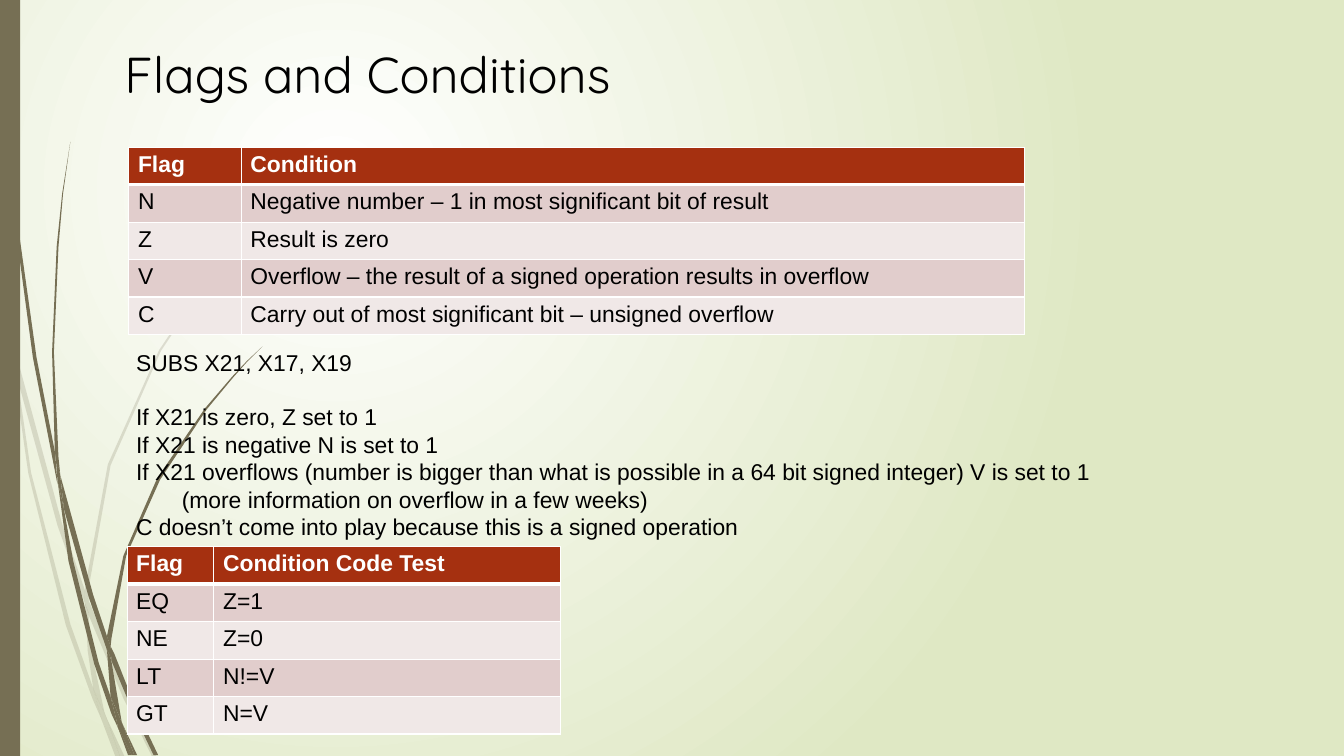
import pptx
import pptx.dml.color
import pptx.enum.shapes
import pptx.enum.text
import pptx.oxml
import pptx.oxml.ns
import pptx.util

Inches = pptx.util.Inches
Pt = pptx.util.Pt
RGB = pptx.dml.color.RGBColor
qn = pptx.oxml.ns.qn

WIDTH, HEIGHT = 14.7, 8.27
BLACK = RGB(0x00, 0x00, 0x00)
WHITE = RGB(0xFF, 0xFF, 0xFF)
PALE_GREEN = RGB(0xDF, 0xE8, 0xC4)
OLIVE = RGB(0x76, 0x6F, 0x54)
RUST = RGB(0xA5, 0x30, 0x10)
ROSE = RGB(0xE1, 0xCD, 0xCC)
BLUSH = RGB(0xF0, 0xE8, 0xE7)

TITLE = "Flags and Conditions"
TABLES = [
    {"left": 1.41, "top": 1.61, "columns": (1.23, 8.57), "rows": [
        ("Flag", "Condition"),
        ("N", "Negative number – 1 in most significant bit of result"),
        ("Z", "Result is zero"),
        ("V", "Overflow – the result of a signed operation results in overflow"),
        ("C", "Carry out of most significant bit – unsigned overflow"),
    ]},
    {"left": 1.39, "top": 5.98, "columns": (0.95, 3.79), "rows": [
        ("Flag", "Condition Code Test"),
        ("EQ", "Z=1"),
        ("NE", "Z=0"),
        ("LT", "N!=V"),
        ("GT", "N=V"),
    ]},
]
ROW_HEIGHT = 0.41
LINE_PITCH = 21.6
EXAMPLE = [
    ("SUBS X21, X17, X19", 0, 0),
    ("If X21 is zero, Z set to 1", LINE_PITCH, 0),
    ("If X21 is negative N is set to 1", 0, 0),
    ("If X21 overflows (number is bigger than what is possible in a 64 bit "
     "signed integer) V is set to 1", 0, 0),
    ("(more information on overflow in a few weeks)", 0, 0.5),
    ("C doesn’t come into play because this is a signed operation", 0, 0),
]
PALE_BLADES = [
    [(0.12, 3.86), (0.09, 3.55), (0, 3.1), (0, 3.3), (0.11, 3.79)],
    [(0.63, 5.75), (0.93, 6.6), (0.93, 6.46), (0.68, 5.73), (0.16, 3.81), (0.19, 4.14)],
    [(1.02, 6.69), (0.97, 6.57), (0.97, 6.73), (1.35, 7.64), (1.66, HEIGHT), (1.71, HEIGHT),
     (1.4, 7.62)],
    [(1.31, HEIGHT), (1.36, HEIGHT), (1.16, 7.84)],
    [(1.02, 7.53), (0.77, 6.83), (0.34, 5.17), (0.19, 4.14), (0.12, 3.86), (0.31, 5.18),
     (0.72, 6.84), (1.01, 7.64), (1.11, 7.87), (1.09, 7.79)],
    [(0.93, 6.6), (0.96, 7.12), (1.02, 7.53), (1.06, 7.63), (1.16, 7.84), (1.14, 7.78),
     (1, 7.12), (0.97, 6.73), (0.97, 6.7)],
    [(0.97, 6.43), (1.21, 5.09), (1.76, 3.84), (2.52, 2.7), (2.96, 2.18), (3.19, 1.93),
     (3.44, 1.69), (3.19, 1.93), (2.95, 2.18), (2.51, 2.69), (1.74, 3.83), (1.18, 5.08),
     (0.93, 6.43), (0.93, 6.46), (0.97, 6.57)],
    [(1.11, 7.87), (1.26, HEIGHT), (1.31, HEIGHT)],
    [(0.97, 6.71), (0.97, 6.73), (0.97, 6.57), (0.93, 6.46), (0.93, 6.61)],
    [(1.06, 7.63), (1.02, 7.53), (1.09, 7.79), (1.11, 7.87), (1.31, HEIGHT), (1.16, 7.84)],
]
DARK_BLADES = [
    [(0.07, 1.21), (0.18, 2.57), (0.36, 3.91), (0.62, 5.25), (0.63, 5.3), (0.61, 5.04),
     (0.61, 4.99), (0.4, 3.91), (0.21, 2.56), (0.08, 1.2), (0.05, 0.53), (0.04, 0),
     (0.03, 0), (0.04, 0.53)],
    [(0.97, 6.53), (1.17, 7.11), (1.17, 6.98), (1.17, 6.96), (1.02, 6.51), (0.66, 5.2),
     (0.7, 5.57)],
    [(1.25, 7.15), (1.21, 7.07), (1.22, 7.23), (1.46, 7.8), (1.68, 8.26), (1.73, 8.26),
     (1.5, 7.78)],
    [(1.21, 7.62), (1.08, 7.25), (0.8, 6.13), (0.7, 5.57), (0.63, 5.26), (0.75, 6.14),
     (1.03, 7.26), (1.22, 7.81), (1.29, 7.96), (1.28, 7.9)],
    [(0.66, 5.2), (0.64, 5), (0.59, 3.85), (0.64, 2.7), (0.69, 2.12), (0.77, 1.55),
     (0.68, 2.12), (0.62, 2.7), (0.57, 3.85), (0.6, 4.95)],
    [(1.47, 8.26), (1.5, 8.26), (1.34, 7.92)],
    [(0.63, 5.26), (0.7, 5.57), (0.66, 5.21), (0.61, 4.95), (0.61, 5)],
    [(1.22, 6.98), (1.38, 6.08), (1.75, 5.25), (2.26, 4.48), (2.55, 4.13), (2.71, 3.95),
     (2.87, 3.79), (2.7, 3.95), (2.54, 4.12), (2.24, 4.47), (1.72, 5.23), (1.35, 6.08),
     (1.17, 6.96), (1.21, 7.07)],
    [(1.29, 7.96), (1.4, 8.26), (1.44, 8.26)],
    [(1.17, 7.11), (1.21, 7.62), (1.28, 7.78), (1.34, 7.92), (1.33, 7.89), (1.22, 7.24),
     (1.2, 7.17)],
    [(1.17, 7.11), (1.2, 7.17), (1.22, 7.23), (1.21, 7.07), (1.17, 6.96), (1.17, 6.98)],
    [(1.28, 7.78), (1.21, 7.62), (1.28, 7.9), (1.29, 7.96), (1.44, 8.26), (1.47, 8.26),
     (1.34, 7.92)],
]
BODY_FONT = {"name": "Arial", "size": Pt(18), "bold": False}
TITLE_FONT = {"name": "Quicksand", "size": Pt(39.7), "bold": False}


def write(para, text, font, color):
    span = para.add_run()
    span.text = text
    for name, value in font.items():
        setattr(span.font, name, value)
    span.font.color.rgb = color


def paint(shape, color, opacity=100):
    shape.shadow.inherit = False
    shape.fill.solid()
    shape.fill.fore_color.rgb = color
    shape.line.fill.background()
    if opacity < 100:
        tint = shape.element.spPr.find(qn("a:solidFill"))[0]
        tint.append(pptx.oxml.parse_xml(
            f'<a:alpha {pptx.oxml.ns.nsdecls("a")} val="{opacity * 1000}"/>'))


def add_blade(page, outline, opacity):
    points = [(Inches(x), Inches(y)) for x, y in outline]
    builder = page.shapes.build_freeform(*points[0])
    builder.add_line_segments(points[1:], close=True)
    paint(builder.convert_to_shape(), OLIVE, opacity)


def add_borders(cell, is_header):
    properties = cell._tc.get_or_add_tcPr()
    for index, side in enumerate("LRTB"):
        points = 3 if is_header and side == "B" else 1
        properties.insert(index, pptx.oxml.parse_xml(
            f'<a:ln{side} {pptx.oxml.ns.nsdecls("a")} w="{Pt(points)}">'
            f'<a:solidFill><a:srgbClr val="{WHITE}"/></a:solidFill></a:ln{side}>'))


def add_flag_table(page, left, top, columns, rows):
    table = page.shapes.add_table(
        len(rows), len(columns), Inches(left), Inches(top),
        Inches(sum(columns)), Inches(ROW_HEIGHT * len(rows))).table
    for column, width in zip(table.columns, columns):
        column.width = Inches(width)
    for r, texts in enumerate(rows):
        is_header = r == 0
        for c, text in enumerate(texts):
            cell = table.cell(r, c)
            cell.fill.solid()
            cell.fill.fore_color.rgb = RUST if is_header else (BLUSH, ROSE)[r % 2]
            write(cell.text_frame.paragraphs[0], text,
                  BODY_FONT | {"bold": is_header}, WHITE if is_header else BLACK)
            add_borders(cell, is_header)


def set_background(page):
    fill = page.background.fill
    fill.gradient()
    for stop, color in zip(fill.gradient_stops, (WHITE, PALE_GREEN)):
        stop.color.rgb = color
    gradient = page.element.find(".//" + qn("a:gradFill"))
    gradient.remove(gradient.find(qn("a:lin")))
    gradient.append(pptx.oxml.parse_xml(
        f'<a:path {pptx.oxml.ns.nsdecls("a")} path="circle">'
        '<a:fillToRect l="50000" t="50000" r="100000" b="100000"/></a:path>'))


def add_title(page):
    title = page.shapes.title
    place = {"left": 1.26, "top": -0.2, "width": 13.22, "height": 1.38}
    for name, value in place.items():
        setattr(title, name, Inches(value))
    title.text_frame.vertical_anchor = pptx.enum.text.MSO_ANCHOR.BOTTOM
    para = title.text_frame.paragraphs[0]
    para.alignment = pptx.enum.text.PP_ALIGN.LEFT
    write(para, TITLE, TITLE_FONT, BLACK)


def add_example(page):
    box = page.shapes.add_textbox(Inches(1.39), Inches(3.76), Inches(10.73), Inches(2.22))
    frame = box.text_frame
    frame.word_wrap = False
    for index, (text, gap, indent) in enumerate(EXAMPLE):
        para = frame.add_paragraph() if index else frame.paragraphs[0]
        para.line_spacing = Pt(LINE_PITCH)
        para.space_before = Pt(gap)
        para._p.get_or_add_pPr().set("marL", str(Inches(indent)))
        write(para, text, BODY_FONT, BLACK)


def main():
    deck = pptx.Presentation()
    deck.slide_width, deck.slide_height = Inches(WIDTH), Inches(HEIGHT)
    page = deck.slides.add_slide(deck.slide_layouts[5])
    set_background(page)
    for blades, opacity in ((PALE_BLADES, 20), (DARK_BLADES, 100)):
        for outline in blades:
            add_blade(page, outline, opacity)
    bar = page.shapes.add_shape(
        pptx.enum.shapes.MSO_SHAPE.RECTANGLE, 0, 0, Inches(0.22), Inches(HEIGHT))
    paint(bar, OLIVE)
    add_title(page)
    add_example(page)
    for table in TABLES:
        add_flag_table(page, **table)
    deck.save("out.pptx")


if __name__ == "__main__":
    main()
